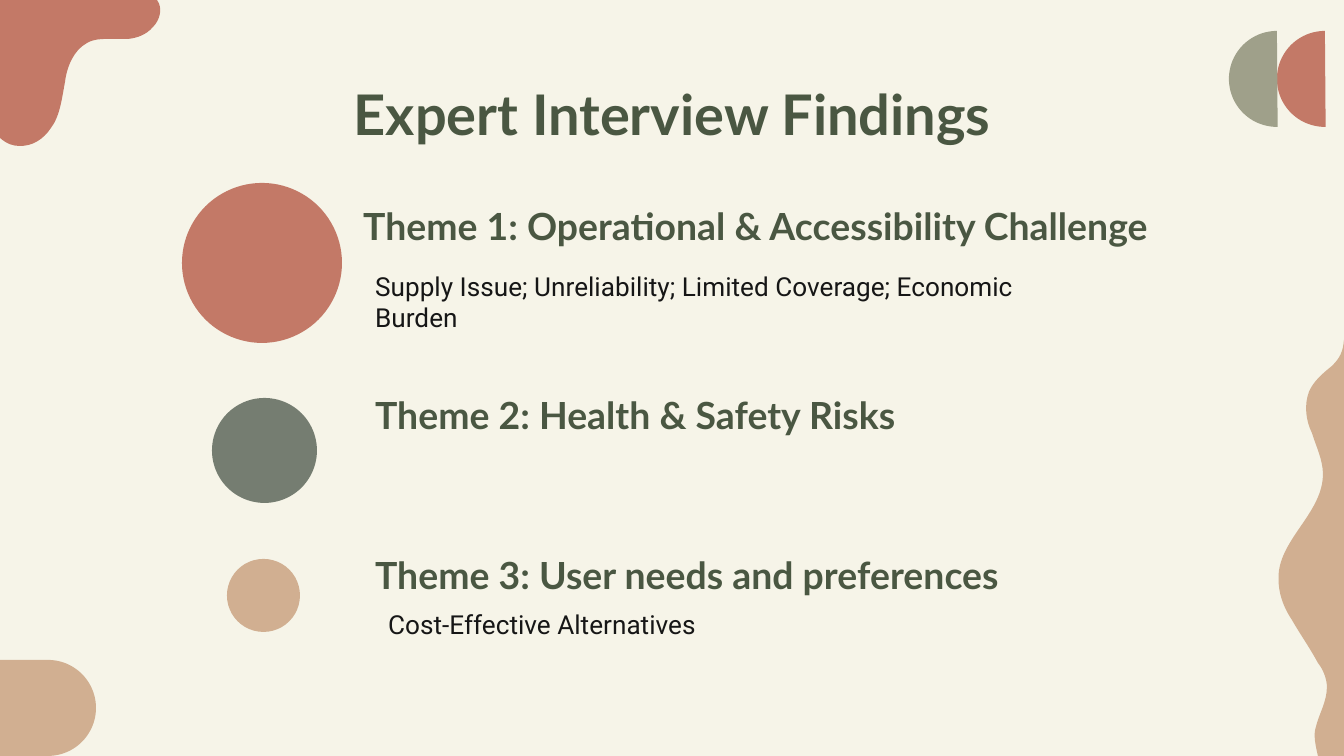
from lxml.etree import SubElement
from pptx import Presentation
from pptx.dml.color import RGBColor
from pptx.enum.shapes import MSO_SHAPE as Kind
from pptx.enum.text import MSO_ANCHOR as Anchor, PP_ALIGN as Align
from pptx.oxml.ns import qn
from pptx.util import Pt

SCALE = 914400 / 134.4
CREAM, CLAY, SAND = "F6F4E8", "C37967", "D1AF91"
SAGE, MOSS, GREEN, INK = "9FA08A", "757D71", "4A5742", "161616"

# Each row is a cubic curve: two control points, then its end.
BLOB = [
    (7, 144), (13, 146), (20, 146),
    (32, 146), (43, 140), (51, 128),
    (60, 116), (62, 98), (65, 82),
    (67, 66), (74, 50), (87, 43),
    (94, 39), (101, 39), (108, 39),
    (112, 39), (116, 39), (120, 39),
    (122, 39), (125, 39), (128, 39),
    (137, 38), (146, 35), (153, 27),
    (160, 20), (163, 8), (157, 0),
]
WAVE = [
    (1343, 352), (1340, 358), (1332, 366),
    (1322, 374), (1313, 382), (1309, 392),
    (1304, 405), (1306, 421), (1312, 433),
    (1316, 446), (1323, 460), (1323, 474),
    (1323, 511), (1284, 536), (1279, 571),
    (1277, 589), (1282, 605), (1292, 620),
    (1300, 634), (1310, 648), (1318, 663),
    (1323, 669), (1327, 679), (1327, 687),
    (1327, 702), (1319, 714), (1316, 727),
    (1313, 735), (1316, 747), (1318, 756),
]


def px(n):
    return round(n * SCALE)


def color(code):
    return RGBColor.from_string(code)


def paint(shape, code):
    shape.shadow.inherit = False
    shape.fill.solid()
    shape.fill.fore_color.rgb = color(code)
    shape.line.fill.background()


def add_shape(slide, kind, box, code, adj=(), turn=0):
    shape = slide.shapes.add_shape(kind, *map(px, box))
    for i, value in enumerate(adj):
        shape.adjustments[i] = value
    shape.rotation = turn
    paint(shape, code)


def add_curve(slide, corner, start, curves, code):
    """Draw a corner, a straight side to start, then cubic curves."""
    pen = slide.shapes.build_freeform(*corner, scale=SCALE)
    pen.add_line_segments([start, *curves], close=True)
    shape = pen.convert_to_shape()
    path = next(shape.element.iter(qn("a:path")))
    lines = path.findall(qn("a:lnTo"))[1:len(curves) + 1]
    for i in range(0, len(lines), 3):
        bend = SubElement(path, qn("a:cubicBezTo"))
        lines[i].addprevious(bend)
        for line in lines[i:i + 3]:
            bend.append(line[0])
            path.remove(line)
    paint(shape, code)


def add_text(slide, text, box, size=20, font="Lato", code=GREEN, bold=True,
             anchor=Anchor.BOTTOM, align=Align.LEFT, after=0):
    frame = slide.shapes.add_textbox(*map(px, box)).text_frame
    frame.word_wrap = True
    frame.vertical_anchor = anchor
    frame.margin_left = frame.margin_right = Pt(7.2)
    frame.margin_top = frame.margin_bottom = Pt(7.2)
    para = frame.paragraphs[0]
    para.alignment = align
    para.space_after = Pt(after)
    run = para.add_run()
    run.text = text
    run.font.size = Pt(size)
    run.font.name = font
    run.font.bold = bold
    run.font.color.rgb = color(code)


def add_note(slide, text, box):
    add_text(slide, text, box, size=14, font="Roboto", code=INK, bold=False,
             anchor=Anchor.TOP, after=16)


def add_decor(slide):
    add_curve(slide, (0, 0), (0, 138), BLOB, CLAY)
    add_curve(slide, (1344, 756), (1344, 340), WAVE, SAND)
    add_shape(slide, Kind.ROUND_2_SAME_RECTANGLE, (0, 660, 96, 96), SAND,
              adj=(0.5, 0), turn=90)
    for left, code in ((1277, CLAY), (1229, SAGE)):
        add_shape(slide, Kind.CHORD, (left, 31, 96, 96), code, adj=(53.48, 162))


def main():
    deck = Presentation()
    deck.slide_width, deck.slide_height = px(1344), px(756)
    slide = deck.slides.add_slide(deck.slide_layouts[6])
    slide.background.fill.solid()
    slide.background.fill.fore_color.rgb = color(CREAM)

    add_decor(slide)
    add_text(slide, "Expert Interview Findings", (106, 66, 1133, 85),
             size=30, anchor=Anchor.TOP, align=Align.CENTER)
    add_text(slide, "Theme 1: Operational & Accessibility Challenge",
             (350, 204, 890, 57))
    add_note(slide, "Supply Issue; Unreliability; Limited Coverage; Economic Burden",
             (362, 257, 739, 52))
    add_text(slide, "Theme 2: Health & Safety Risks", (362, 388, 607, 62))
    add_text(slide, "Theme 3: User needs and preferences", (362, 556, 719, 54))
    add_note(slide, "Cost-Effective Alternatives", (375, 595, 594, 62))
    for left, top, size, code in (
        (182, 183, 160, CLAY), (212, 398, 105, MOSS), (227, 559, 73, SAND),
    ):
        add_shape(slide, Kind.OVAL, (left, top, size, size), code)
    deck.save("out.pptx")


if __name__ == "__main__":
    main()
